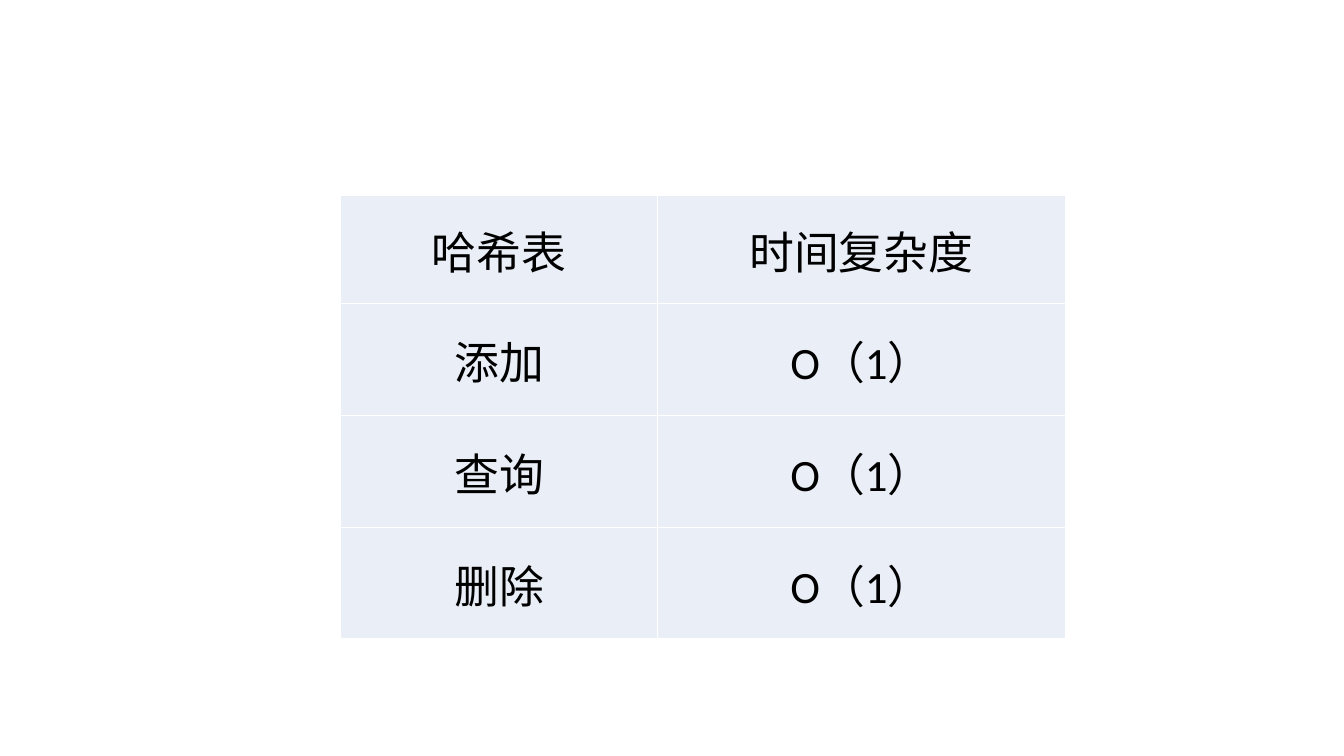
from dataclasses import dataclass

from lxml import etree
from pptx import Presentation
from pptx.dml.color import RGBColor
from pptx.enum import text
from pptx.oxml import ns
from pptx.util import Inches, Pt

ROWS = [
    ("哈希表", "时间复杂度"),
    ("添加", "O（1）"),
    ("查询", "O（1）"),
    ("删除", "O（1）"),
]
WIDTHS = (3.14, 4.05)
HEIGHTS = (1.07, 1.11, 1.11, 1.11)
LEFT, TOP = 3.38, 1.94


@dataclass
class Theme:
    ink: str = "000000"
    fill: str = "EAEFF7"
    rule: str = "FFFFFF"
    font: str = "Calibri"
    size: int = 32


theme = Theme()


def add_rules(cell):
    props = cell._tc.get_or_add_tcPr()
    for side in ("lnL", "lnR", "lnT", "lnB"):
        line = etree.SubElement(props, ns.qn(f"a:{side}"), w=str(Pt(1)))
        solid = etree.SubElement(line, ns.qn("a:solidFill"))
        etree.SubElement(solid, ns.qn("a:srgbClr"), val=theme.rule)


def fill_cell(cell, words):
    add_rules(cell)
    cell.fill.solid()
    cell.fill.fore_color.rgb = RGBColor.from_string(theme.fill)
    cell.margin_left = cell.margin_right = cell.margin_top = Inches(0.01)
    cell.margin_bottom = 0
    cell.vertical_anchor = text.MSO_ANCHOR.MIDDLE
    cell.text = words
    para = cell.text_frame.paragraphs[0]
    para.alignment = text.PP_ALIGN.CENTER
    para.font.name = theme.font
    para.font.size = Pt(theme.size)
    para.font.color.rgb = RGBColor.from_string(theme.ink)


def main():
    deck = Presentation()
    deck.slide_width, deck.slide_height = Inches(13.33), Inches(7.5)
    slide = deck.slides.add_slide(deck.slide_layouts[6])
    table = slide.shapes.add_table(
        len(ROWS), len(WIDTHS), Inches(LEFT), Inches(TOP),
        Inches(sum(WIDTHS)), Inches(sum(HEIGHTS))).table
    table.first_row = table.horz_banding = False
    for col, width in zip(table.columns, WIDTHS):
        col.width = Inches(width)
    for row, height, words in zip(table.rows, HEIGHTS, ROWS):
        row.height = Inches(height)
        for cell, word in zip(row.cells, words):
            fill_cell(cell, word)
    deck.save("out.pptx")


if __name__ == "__main__":
    main()
